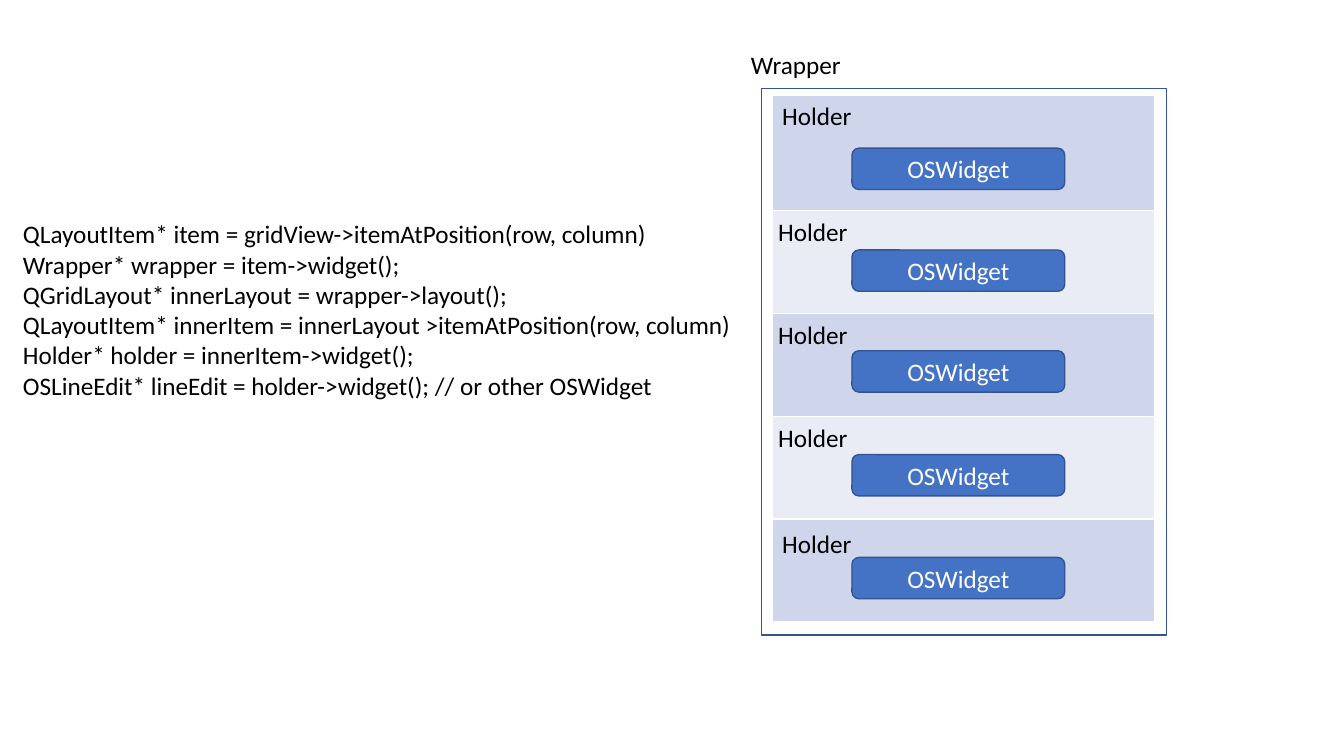
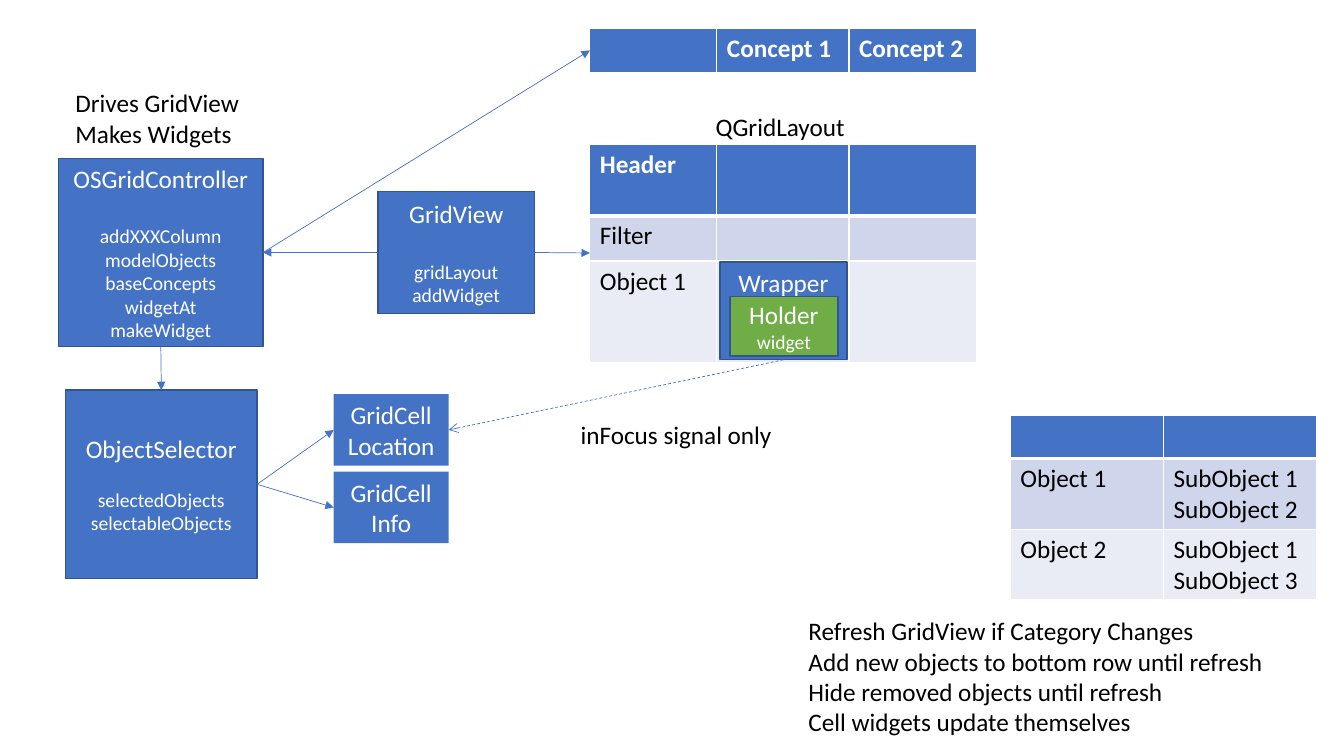
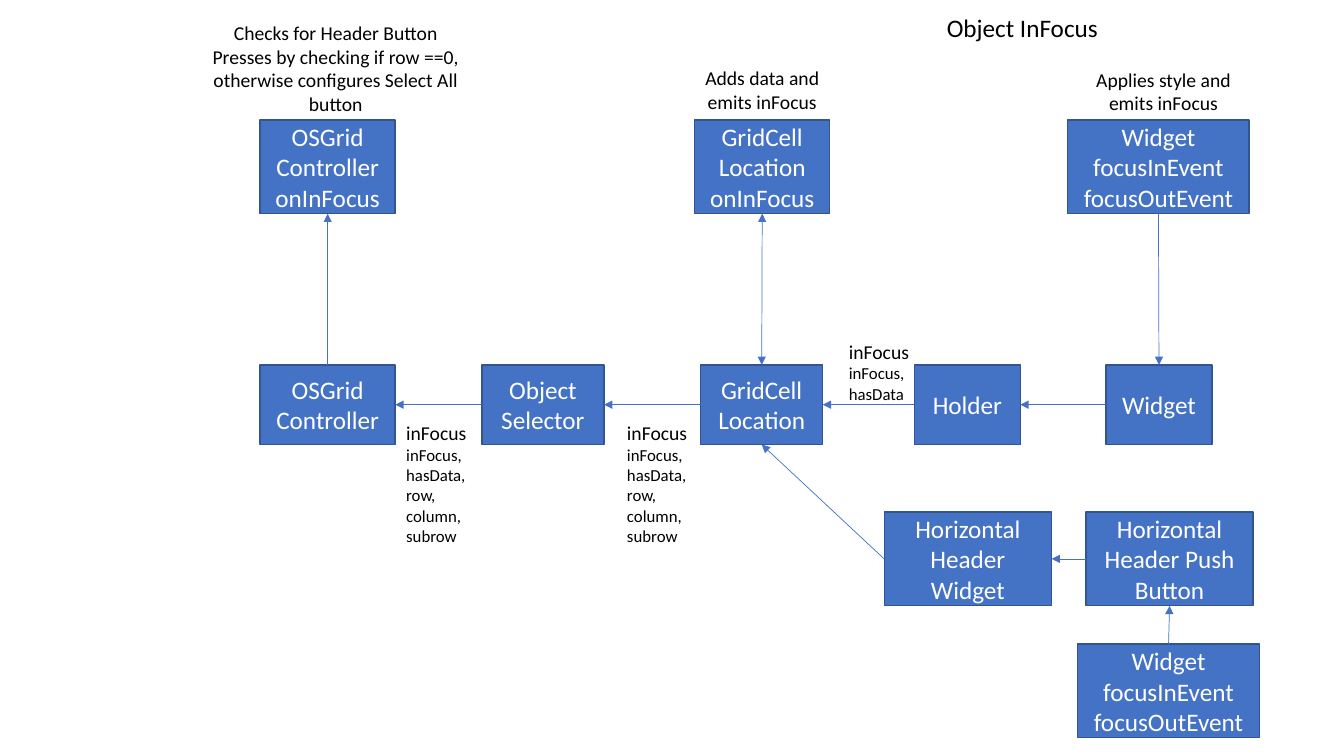
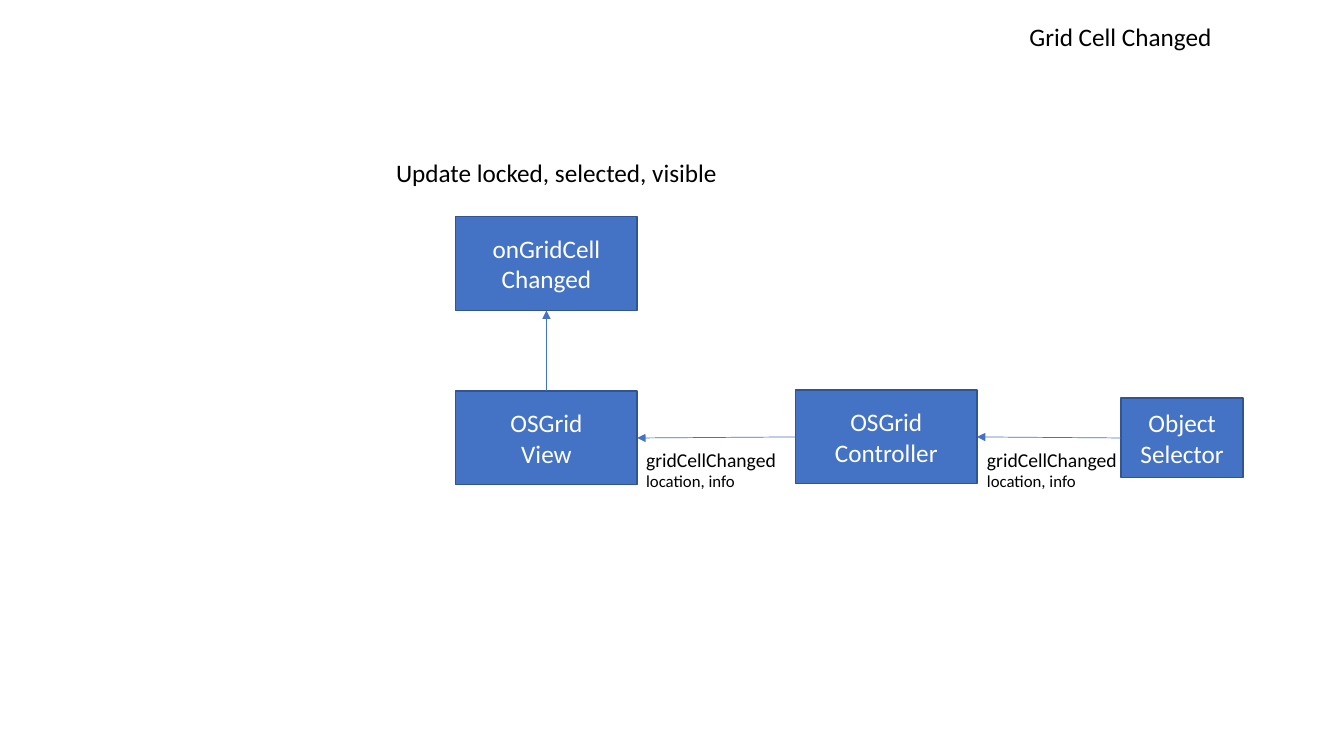
"""Build four slides describing a grid view, its widgets and its signals."""
import lxml.etree
import pptx
import pptx.dml.color
import pptx.enum.dml
import pptx.enum.shapes
import pptx.enum.text
import pptx.oxml.ns
import pptx.util

Inches = pptx.util.Inches
Pt = pptx.util.Pt
color = pptx.dml.color.RGBColor.from_string
qn = pptx.oxml.ns.qn
SubElement = lxml.etree.SubElement
ALIGN = pptx.enum.text.PP_ALIGN
ANCHOR = pptx.enum.text.MSO_ANCHOR
RECTANGLE = pptx.enum.shapes.MSO_SHAPE.RECTANGLE
ROUNDED = pptx.enum.shapes.MSO_SHAPE.ROUNDED_RECTANGLE

FONT = "Calibri"
BLACK = "000000"
WHITE = "FFFFFF"
BLUE = "4472C4"
OUTLINE = "325491"
GREEN = "70AD47"
BANDS = ["CFD5EA", "E9EBF5"]
TOP, LEFT, BOTTOM, RIGHT = range(4)


def add_text(slide, kind, box, text, detail="", size=18, detail_size=14, gap=0,
             fill=BLUE, line=OUTLINE, anchor=ANCHOR.MIDDLE, align=None, wrap=True):
    """Add a filled shape, or a plain text box when kind is None."""
    place = [Inches(length) for length in box]
    if kind is None:
        shape = slide.shapes.add_textbox(*place)
        anchor = ANCHOR.TOP
        align = align or ALIGN.LEFT
    else:
        shape = slide.shapes.add_shape(kind, *place)
        shape.shadow.inherit = False
        shape.fill.solid()
        shape.fill.fore_color.rgb = color(fill)
        if line:
            shape.line.color.rgb = color(line)
            shape.line.width = Pt(1)
        else:
            shape.line.fill.background()
    frame = shape.text_frame
    frame.word_wrap = wrap
    frame.vertical_anchor = anchor
    main_lines = text.split("\n")
    frame.text = text + ("\n" + detail if detail else "")
    for index, paragraph in enumerate(frame.paragraphs):
        paragraph.alignment = align or ALIGN.CENTER
        paragraph.font.name = FONT
        paragraph.font.size = Pt(size if index < len(main_lines) else detail_size)
        paragraph.font.color.rgb = color(WHITE if kind else BLACK)
        if index == len(main_lines):
            paragraph.space_before = Pt(gap)
    return shape


def add_arrow(slide, begin, end, dashed=False, both=False):
    """Add an arrow; the begin is (shape, side), the end that or a point."""
    connector = slide.shapes.add_connector(pptx.enum.shapes.MSO_CONNECTOR.STRAIGHT, 0, 0, 0, 0)
    connector.begin_connect(*begin)
    if isinstance(end[0], float):
        connector.end_x, connector.end_y = Inches(end[0]), Inches(end[1])
    else:
        connector.end_connect(*end)
    connector.line.color.rgb = color(BLUE)
    connector.line.width = Pt(0.5)
    if dashed:
        connector.line.dash_style = pptx.enum.dml.MSO_LINE.DASH
    outline = connector.line._get_or_add_ln()
    if both:
        SubElement(outline, qn("a:headEnd"), type="triangle")
    SubElement(outline, qn("a:tailEnd"), type="arrow" if dashed else "triangle")
    SubElement(connector._element.spPr, qn("a:effectLst"))


presentation = pptx.Presentation()
presentation.slide_width = Inches(13.33)
presentation.slide_height = Inches(7.5)
title_only, blank = presentation.slide_layouts[5], presentation.slide_layouts[6]
code_slide, classes_slide, focus_slide, changed_slide = [
    presentation.slides.add_slide(layout) for layout in (blank, blank, title_only, title_only)]

for slide, title, box in [
    (focus_slide, "Object InFocus", (9.29, 0.07, 1.77, 0.4)),
    (changed_slide, "Grid Cell Changed", (10.11, 0.16, 2.03, 0.4)),
]:
    shape = slide.shapes.title
    shape.left, shape.top, shape.width, shape.height = [Inches(length) for length in box]
    frame = shape.text_frame
    frame.text = title
    frame.word_wrap = False
    frame.auto_size = pptx.enum.text.MSO_AUTO_SIZE.NONE
    frame.vertical_anchor = ANCHOR.TOP
    paragraph = frame.paragraphs[0]
    paragraph.alignment = ALIGN.LEFT
    paragraph.font.name = FONT
    paragraph.font.size = Pt(18)
    paragraph.font.color.rgb = color(BLACK)

add_text(code_slide, RECTANGLE, (7.55, 0.88, 4.02, 5.42), "", fill=WHITE)

grid_widths = [1.26, 1.31, 1.27]
for slide, left, top, widths, heights, has_header, rows in [
    (code_slide, 7.66, 0.95, [3.79], [1.14] + [1.02] * 4, False, [[""]] * 5),
    (classes_slide, 5.85, 1.43, grid_widths, [0.71, 0.45, 1.01], True,
     [["Header", "", ""], ["Filter", "", ""], ["Object 1", "", ""]]),
    (classes_slide, 5.85, 0.28, grid_widths, [0.45], True, [["", "Concept 1", "Concept 2"]]),
    (classes_slide, 10.02, 4.12, [1.52] * 2, [0.43, 0.7, 0.7], True,
     [["", ""], ["Object 1", "SubObject 1\nSubObject 2"], ["Object 2", "SubObject 1\nSubObject 3"]]),
]:
    table = slide.shapes.add_table(
        len(rows), len(widths), Inches(left), Inches(top),
        Inches(sum(widths)), Inches(sum(heights))).table
    table.first_row = has_header
    for column, width in zip(table.columns, widths):
        column.width = Inches(width)
    for row_index, texts in enumerate(rows):
        table.rows[row_index].height = Inches(heights[row_index])
        is_header = has_header and row_index == 0
        band = BANDS[(row_index - has_header) % 2]
        for column_index, text in enumerate(texts):
            cell = table.cell(row_index, column_index)
            properties = cell._tc.get_or_add_tcPr()
            for side in "LRTB":
                if side == "B" and is_header or side == "T" and has_header and row_index == 1:
                    width = Pt(3)
                else:
                    width = Pt(1)
                border = SubElement(properties, qn("a:ln" + side), w=str(width))
                SubElement(SubElement(border, qn("a:solidFill")), qn("a:srgbClr"), val=WHITE)
            cell.fill.solid()
            cell.fill.fore_color.rgb = color(BLUE if is_header else band)
            cell.text = text
            for paragraph in cell.text_frame.paragraphs:
                paragraph.font.name = FONT
                paragraph.font.size = Pt(18)
                paragraph.font.bold = is_header
                paragraph.font.color.rgb = color(WHITE if is_header else BLACK)

add_text(code_slide, None, (0.13, 2.12, 7.3, 1.92),
         "QLayoutItem* item = gridView->itemAtPosition(row, column)\n"
         "Wrapper* wrapper = item->widget();\n"
         "QGridLayout* innerLayout = wrapper->layout();\n"
         "QLayoutItem* innerItem = innerLayout >itemAtPosition(row, column)\n"
         "Holder* holder = innerItem->widget();\n"
         "OSLineEdit* lineEdit = holder->widget(); // or other OSWidget", wrap=False)
add_text(code_slide, None, (7.35, 0.44, 1.1, 0.4), "Wrapper", wrap=False)
for widget_top, holder_left, holder_top in [
    (1.47, 7.66, 0.95), (2.48, 7.62, 2.1), (3.48, 7.62, 3.12), (4.51, 7.62, 4.14), (5.53, 7.66, 5.19),
]:
    add_text(code_slide, ROUNDED, (8.45, widget_top, 2.11, 0.41), "OSWidget")
    add_text(code_slide, None, (holder_left, holder_top, 0.9, 0.4), "Holder", wrap=False)

selector = add_text(classes_slide, RECTANGLE, (0.65, 3.87, 1.9, 1.87), "ObjectSelector",
                    "selectedObjects\nselectableObjects", gap=17)
controller = add_text(classes_slide, RECTANGLE, (0.58, 1.57, 2.03, 1.87), "OSGridController",
                      "addXXXColumn\nmodelObjects\nbaseConcepts\nwidgetAt\nmakeWidget", gap=22)
grid_view = add_text(classes_slide, RECTANGLE, (3.75, 1.9, 1.55, 1.21), "GridView",
                     "gridLayout\naddWidget", gap=22)
location = add_text(classes_slide, RECTANGLE, (3.31, 3.91, 1.14, 0.71), "GridCell\nLocation", line=None)
info = add_text(classes_slide, RECTANGLE, (3.31, 4.68, 1.14, 0.71), "GridCell\nInfo", line=None)
wrapper = add_text(classes_slide, RECTANGLE, (7.14, 2.6, 1.26, 0.97), "Wrapper", anchor=ANCHOR.TOP)
add_text(classes_slide, RECTANGLE, (7.24, 2.94, 1.07, 0.59), "Holder", "widget", fill=GREEN)
add_text(classes_slide, None, (7, 1.06, 1.84, 0.4), "QGridLayout")
add_text(classes_slide, None, (0.65, 0.82, 1.84, 0.71), "Drives GridView\nMakes Widgets", wrap=False)
add_text(classes_slide, None, (5.66, 4.11, 2.12, 0.4), "inFocus signal only", wrap=False)
add_text(classes_slide, None, (7.92, 6.06, 5.01, 1.31),
         "Refresh GridView if Category Changes\n"
         "Add new objects to bottom row until refresh\n"
         "Hide removed objects until refresh\n"
         "Cell widgets update themselves")
add_arrow(classes_slide, (controller, BOTTOM), (selector, TOP))
add_arrow(classes_slide, (controller, RIGHT), (5.85, 0.5))
add_arrow(classes_slide, (grid_view, LEFT), (controller, RIGHT))
add_arrow(classes_slide, (grid_view, RIGHT), (5.85, 2.51))
add_arrow(classes_slide, (selector, RIGHT), (location, LEFT))
add_arrow(classes_slide, (selector, RIGHT), (info, LEFT))
add_arrow(classes_slide, (wrapper, BOTTOM), (location, RIGHT), dashed=True)

widget, holder, location, selector, controller = [
    add_text(focus_slide, RECTANGLE, (left, 3.62, width, 0.79), text)
    for left, width, text in [
        (10.97, 1.05, "Widget"), (9.07, 1.05, "Holder"), (6.95, 1.21, "GridCell Location"),
        (4.78, 1.21, "Object Selector"), (2.58, 1.34, "OSGrid Controller")]]
controller_event, location_event, widget_event = [
    add_text(focus_slide, RECTANGLE, (left, 1.19, width, 0.93), text)
    for left, width, text in [
        (2.58, 1.34, "OSGrid Controller\nonInFocus"), (6.89, 1.34, "GridCell Location\nonInFocus"),
        (10.59, 1.8, "Widget\nfocusInEvent\nfocusOutEvent")]]
header_widget, header_button = [
    add_text(focus_slide, RECTANGLE, (left, 5.08, 1.66, 0.93), text)
    for left, text in [(8.77, "Horizontal Header Widget"), (10.77, "Horizontal Header Push Button")]]
button_event = add_text(focus_slide, RECTANGLE, (10.69, 6.39, 1.8, 0.93),
                        "Widget\nfocusInEvent\nfocusOutEvent")
for box, text in [
    ((1.99, 0.16, 2.68, 1.04),
     "Checks for Header Button Presses by checking if row ==0, otherwise configures Select All button"),
    ((6.77, 0.61, 1.58, 0.57), "Adds data and emits inFocus"),
    ((10.75, 0.62, 1.58, 0.57), "Applies style and emits inFocus"),
]:
    add_text(focus_slide, None, box, text, size=14, align=ALIGN.CENTER)
for box, detail in [
    ((8.32, 3.32, 0.92, 0.74), "inFocus, hasData"),
    ((6.12, 4.13, 0.92, 1.35), "inFocus, hasData,\nrow, column, subrow"),
    ((3.93, 4.13, 0.92, 1.35), "inFocus, hasData,\nrow, column, subrow"),
]:
    add_text(focus_slide, None, box, "inFocus", detail, size=14, detail_size=12)
for source, target in [
    (widget, holder), (holder, location), (location, selector), (selector, controller),
    (header_button, header_widget),
]:
    add_arrow(focus_slide, (source, LEFT), (target, RIGHT))
add_arrow(focus_slide, (controller, TOP), (controller_event, BOTTOM))
add_arrow(focus_slide, (location, TOP), (location_event, BOTTOM), both=True)
add_arrow(focus_slide, (widget_event, BOTTOM), (widget, TOP))
add_arrow(focus_slide, (button_event, TOP), (header_button, BOTTOM))
add_arrow(focus_slide, (header_widget, LEFT), (location, BOTTOM))

selector, controller, view, handler = [
    add_text(changed_slide, RECTANGLE, box, text)
    for box, text in [
        ((11.12, 3.95, 1.21, 0.79), "Object Selector"), ((7.89, 3.87, 1.8, 0.93), "OSGrid Controller"),
        ((4.52, 3.88, 1.8, 0.93), "OSGrid\nView"), ((4.52, 2.15, 1.8, 0.93), "onGridCell Changed")]]
add_arrow(changed_slide, (selector, LEFT), (controller, RIGHT))
add_arrow(changed_slide, (controller, LEFT), (view, RIGHT))
add_arrow(changed_slide, (view, TOP), (handler, BOTTOM))
for left in (6.31, 9.69):
    add_text(changed_slide, None, (left, 4.39, 1.72, 0.54), "gridCellChanged", "location, info",
             size=14, detail_size=12)
add_text(changed_slide, None, (3.83, 1.51, 3.42, 0.4), "Update locked, selected, visible", wrap=False)

presentation.save("out.pptx")
